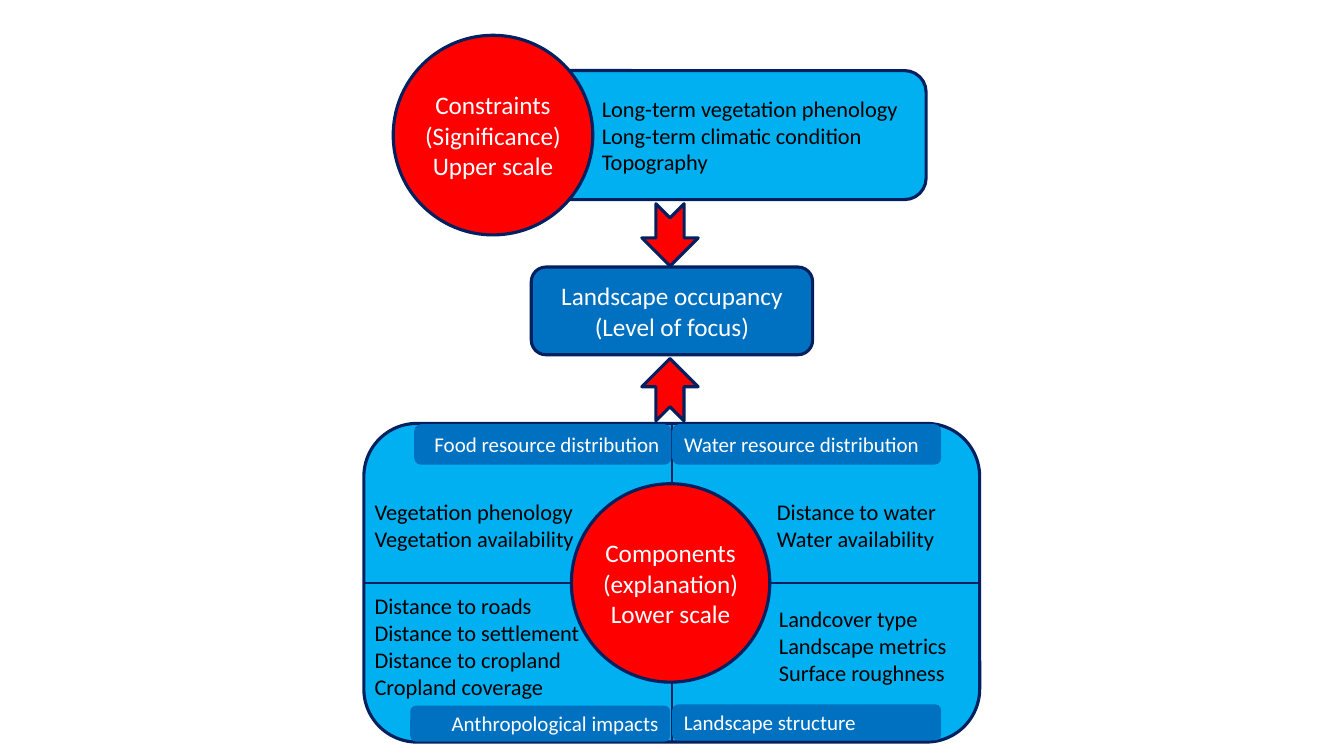
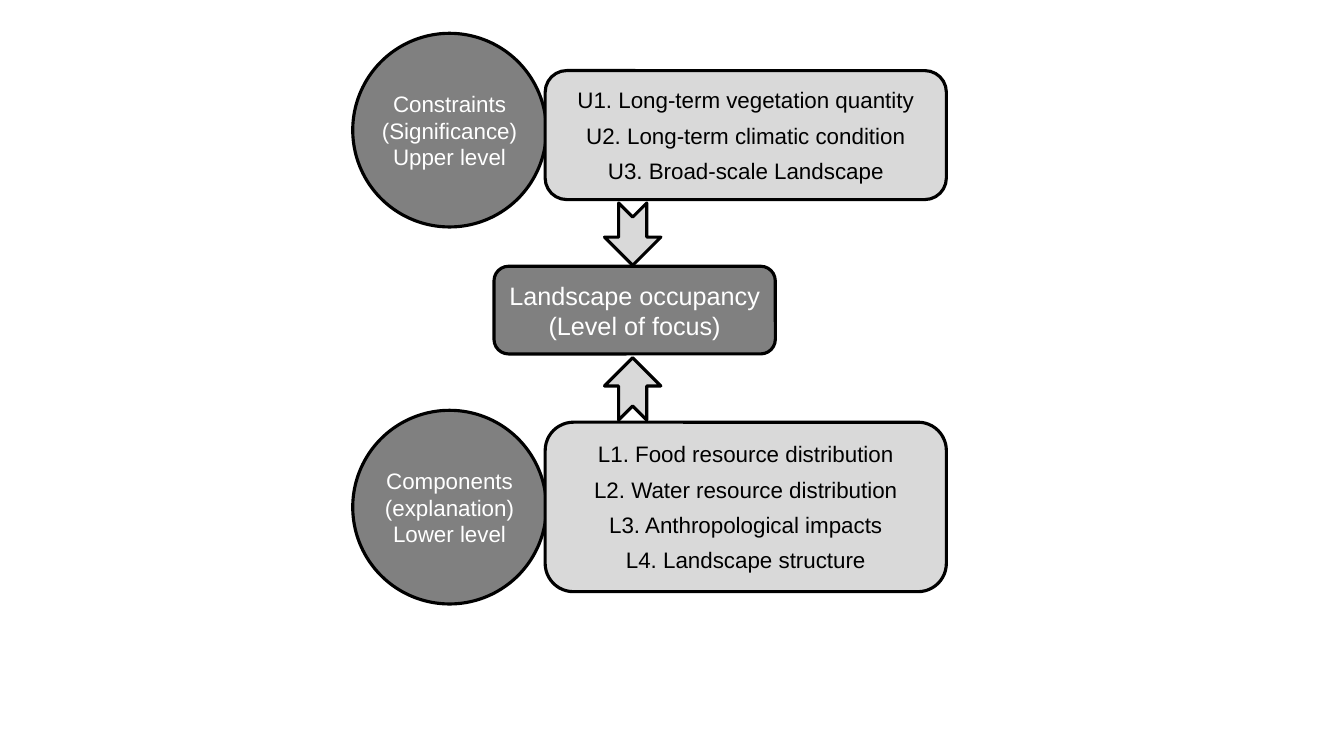
from lxml.etree import SubElement
from pptx import Presentation
from pptx.dml.color import RGBColor
from pptx.enum.shapes import MSO_CONNECTOR, MSO_SHAPE
from pptx.enum.text import MSO_ANCHOR, PP_ALIGN
from pptx.oxml.ns import qn
from pptx.util import Cm, Pt

BOX, DISC = MSO_SHAPE.ROUNDED_RECTANGLE, MSO_SHAPE.OVAL
ARROW = MSO_SHAPE.NOTCHED_RIGHT_ARROW
LEFT, MID, RIGHT = PP_ALIGN.LEFT, PP_ALIGN.CENTER, PP_ALIGN.RIGHT
WHITE, BLACK = "FFFFFF", "000000"
NAVY, BLUE, SKY, RED = "002060", "0070C0", "00B0F0", "FF0000"
GREY, PALE = "808080", "D9D9D9"


def tint(target, color):
    """Give a fill, line or font a solid hex colour."""
    if hasattr(target, "solid"):
        target.solid()
        target.fore_color.rgb = RGBColor.from_string(color)
    else:
        target.color.rgb = RGBColor.from_string(color)


def put(slide, kind, at, fill=None, edge=None, text="", font="Calibri",
        size=16, ink=BLACK, align=MID, gap=0, pad=0.25):
    """Add a shape, or a text box if kind is None, with centred-height text."""
    place = [Cm(n) for n in at]
    if kind is None:
        shape = slide.shapes.add_textbox(*place)
    else:
        shape = slide.shapes.add_shape(kind, *place)
        shape.shadow.inherit = False
        tint(shape.fill, fill)
        if edge:
            tint(shape.line, edge)
            shape.line.width = Pt(2.25)
        else:
            shape.line.fill.background()
    if text:
        frame = shape.text_frame
        frame.text = text
        frame.word_wrap = True
        frame.vertical_anchor = MSO_ANCHOR.MIDDLE
        frame.margin_left = Cm(pad)
        if kind == DISC:
            frame.margin_left = frame.margin_right = 0
            frame.margin_top = frame.margin_bottom = 0
        for para in frame.paragraphs:
            para.alignment = align
            para.space_after = Pt(gap)
            para.font.name = font
            para.font.size = Pt(size)
            tint(para.font, ink)
    return shape


deck = Presentation()
deck.slide_width, deck.slide_height = Cm(33.87), Cm(19.05)
color, mono = [deck.slides.add_slide(deck.slide_layouts[6]) for _ in range(2)]

# Focus box with an arrow from above and below, on both slides
for slide, left, top, font, fill, edge, point in (
        (color, 13.39, 6.73, "Calibri", BLUE, NAVY, RED),
        (mono, 12.45, 6.71, "Arial", GREY, BLACK, PALE)):
    put(slide, BOX, (left, top, 7.09, 2.21), fill, edge,
        "Landscape occupancy\n(Level of focus)", font, 18, WHITE)
    for drop, turn in ((-1.52, 90), (2.38, 270)):
        arrow = put(slide, ARROW, (left + 2.71, top + drop, 1.57, 1.42),
                    point, edge)
        arrow.rotation = turn

# Slide 1: constraints
put(color, BOX, (13.74, 1.78, 9.6, 3.25), SKY, NAVY,
    "Long-term vegetation phenology\nLong-term climatic condition\nTopography",
    align=LEFT, pad=1.27)
put(color, DISC, (9.91, 0.89, 5.03, 5.03), RED, NAVY,
    "Constraints (Significance)\nUpper scale", size=18, ink=WHITE)

# Slide 1: components in four quarters
put(color, BOX, (9.17, 10.67, 15.52, 8.03), SKY, NAVY)
for ends in ((16.94, 10.67, 16.94, 18.7), (9.17, 14.68, 24.69, 14.68)):
    rule = color.shapes.add_connector(MSO_CONNECTOR.STRAIGHT,
                                      *[Cm(n) for n in ends])
    tint(rule.line, NAVY)
    rule.line.width = Pt(1.5)
    SubElement(rule._element.spPr, qn("a:effectLst"))
put(color, DISC, (14.4, 12.19, 5, 5), RED, NAVY,
    "Components (explanation)\nLower scale", size=18, ink=WHITE)

quarters = (
    ("Food resource distribution", (10.44, 10.69, 6.48, 1.02), RIGHT,
     "Vegetation phenology\nVegetation availability",
     (9.19, 12.22, 6.48, 2.01)),
    ("Water resource distribution", (16.94, 10.69, 6.78, 1.02), LEFT,
     "Distance to water\nWater availability",
     (19.33, 12.22, 5.38, 2.01)),
    ("Anthropological impacts", (10.34, 17.78, 6.55, 0.91), RIGHT,
     "Distance to roads\nDistance to settlement\n"
     "Distance to cropland\nCropland coverage",
     (9.19, 14.78, 6.48, 3)),
    ("Landscape structure", (16.94, 17.75, 6.78, 0.91), LEFT,
     "Landcover type\nLandscape metrics\nSurface roughness",
     (19.38, 15.27, 5.38, 2.01)),
)
for head, bar, side, notes, area in quarters:
    put(color, BOX, bar, BLUE, text=head, size=15, ink=WHITE, align=side)
    put(color, None, area, text=notes, align=LEFT)

# Slide 2: one disc and one list for each level
levels = (
    ("Constraints (Significance)\nUpper level", 0.84, 1.78, 3.25,
     "U1. Long-term vegetation quantity\nU2. Long-term climatic condition\n"
     "U3. Broad-scale Landscape"),
    ("Components (explanation)\nLower level", 10.34, 10.64, 4.27,
     "L1. Food resource distribution\nL2. Water resource distribution\n"
     "L3. Anthropological impacts\nL4. Landscape structure"),
)
for name, disc, top, high, items in levels:
    put(mono, DISC, (8.89, disc, 4.88, 4.88), GREY, BLACK, name, "Arial",
        ink=WHITE)
    put(mono, BOX, (13.74, top, 10.11, high), PALE, BLACK, items, "Arial",
        gap=6)

deck.save("out.pptx")
